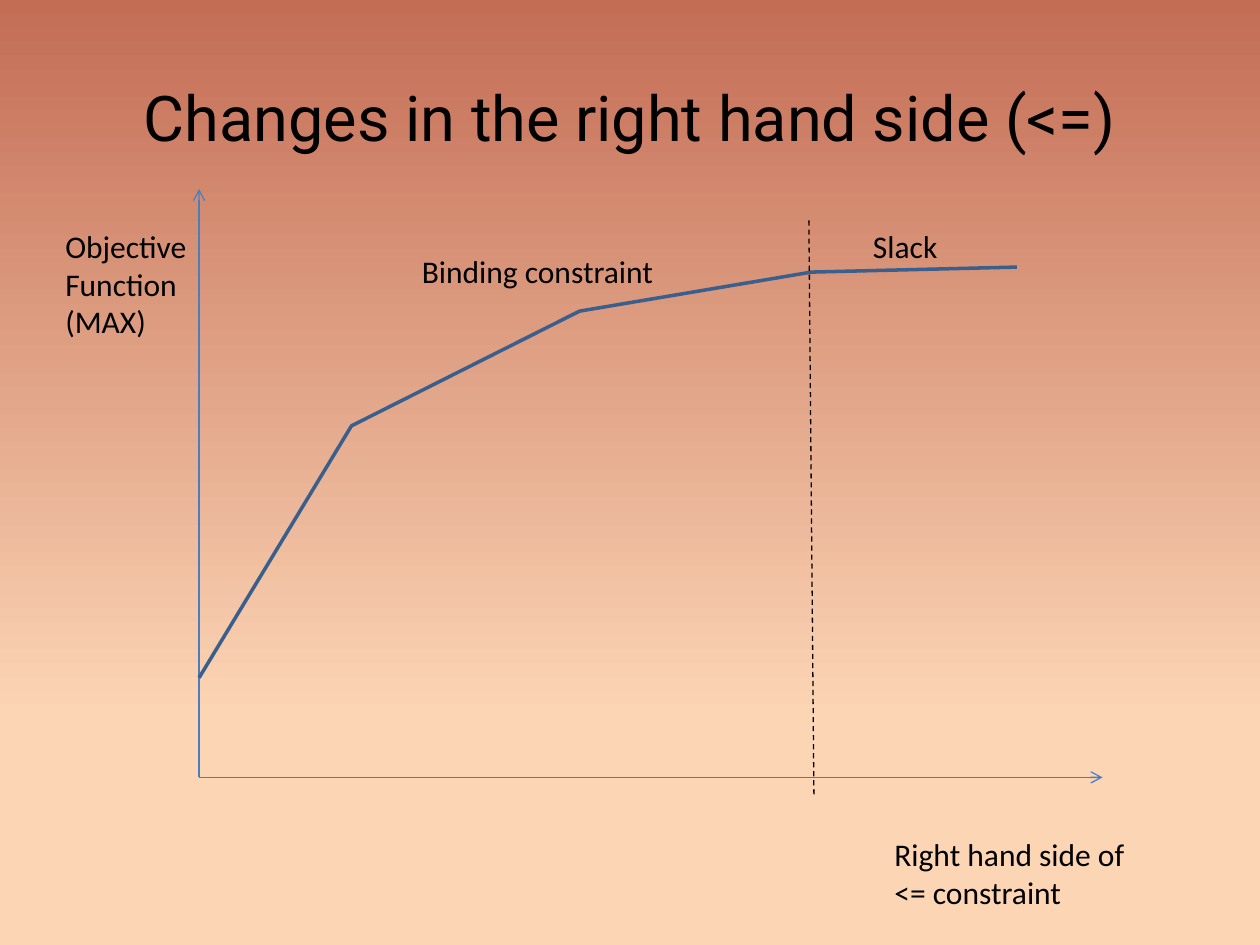
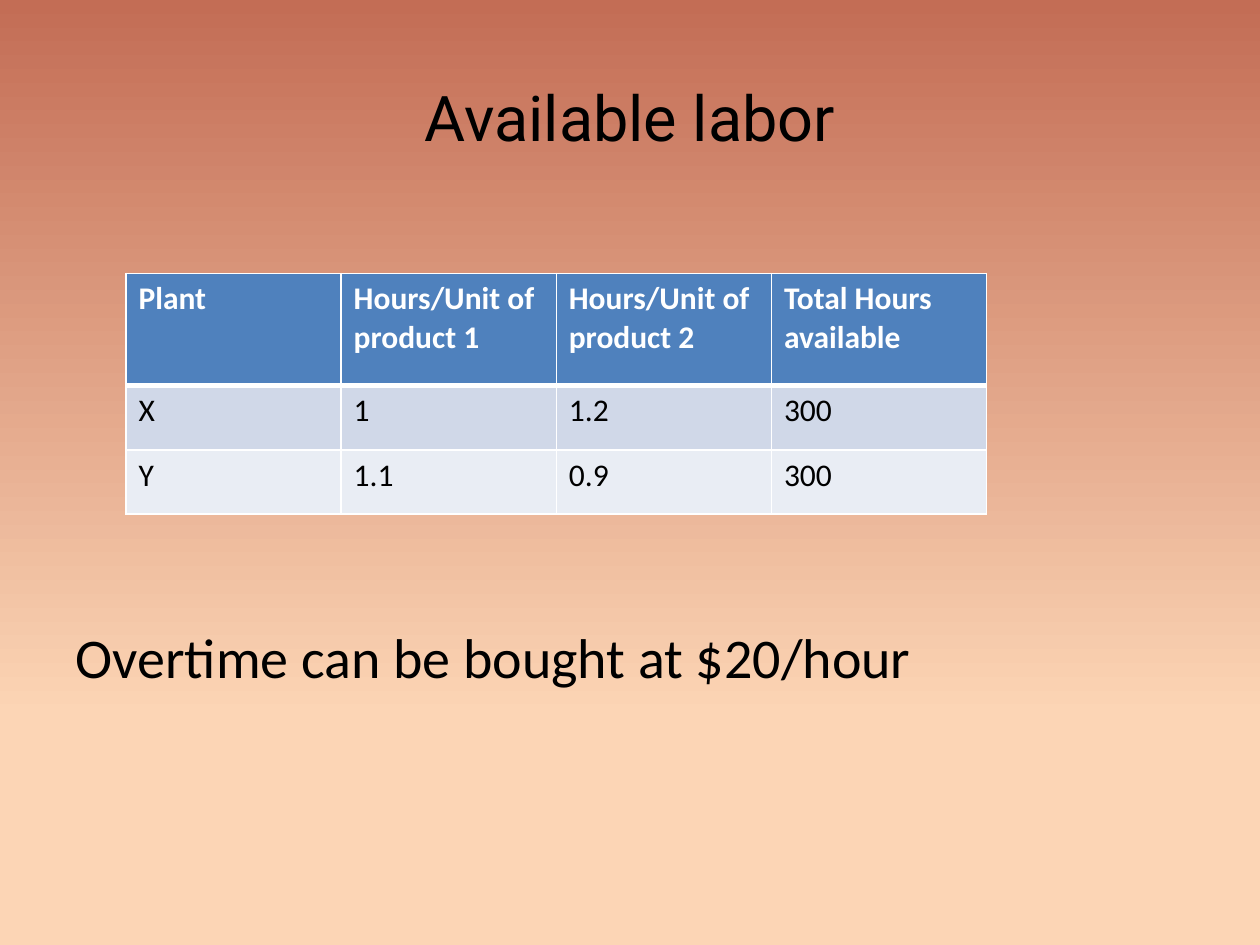
from collections import namedtuple

from lxml import etree
from pptx import Presentation
from pptx.dml.color import RGBColor
from pptx.enum.dml import MSO_LINE
from pptx.enum.shapes import MSO_CONNECTOR
from pptx.enum.text import MSO_ANCHOR, MSO_AUTO_SIZE, PP_ALIGN
from pptx.oxml.ns import qn
from pptx.util import Inches, Pt

STRAIGHT = MSO_CONNECTOR.STRAIGHT
DASH = MSO_LINE.DASH
MIDDLE = MSO_ANCHOR.MIDDLE
TOP = MSO_ANCHOR.TOP
CENTER = PP_ALIGN.CENTER
LEFT = PP_ALIGN.LEFT
FIT_SHAPE = MSO_AUTO_SIZE.SHAPE_TO_FIT_TEXT
NO_FIT = MSO_AUTO_SIZE.NONE

COLORS = {
    "sand": "FCD5B5", "clay": "C36D55", "text": "000000", "white": "FFFFFF",
    "axis": "4B7EBC", "curve": "3A5F8C", "header": "4F81BD",
    "odd row": "D0D8E8", "even row": "E9EDF4",
}
TITLE_FONT, BODY_FONT = "Roboto", "Calibri"
TITLE_ONLY, TITLE_AND_CONTENT = 5, 1

Box = namedtuple("Box", "left top width height")
TITLE_BOX = Box(0.5, 0.3, 9, 1.25)
GRAPH_BOX = Box(1.58, 1.5, 7.17, 4.67)
TABLE_BOX = Box(1, 2.17, 6.83, 1.91)
NOTE_BOX = Box(0.5, 4.89, 9, 1.81)

CURVE_POINTS = [(0, 3.88), (1.21, 1.88), (3.02, 0.97), (4.86, 0.66), (6.49, 0.62)]
GRAPH_LABELS = [
    (["Objective", "Function", "(MAX)"], Box(-1.16, 0.25, 1.17, 1.01)),
    (["Right hand side of", "<= constraint"], Box(5.42, 5.08, 2.11, 0.71)),
    (["Slack"], Box(5.25, 0.25, 0.72, 0.4)),
    (["Binding constraint"], Box(1.67, 0.45, 2.06, 0.4)),
]
LABOR_ROWS = [
    ["Plant", "Hours/Unit of product 1", "Hours/Unit of product 2", "Total Hours available"],
    ["X", "1", "1.2", "300"],
    ["Y", "1.1", "0.9", "300"],
]
ROW_HEIGHTS = [0.89, 0.51, 0.51]
ROW_FILLS = ["header", "odd row", "even row"]


def rgb(name):
    """Return the named colour."""
    return RGBColor.from_string(COLORS[name])


def lengths(*values):
    """Turn numbers of inches into lengths."""
    return [Inches(value) for value in values]


def style_text(frame, size, font=BODY_FONT, color="text", bold=False, align=LEFT):
    """Format every paragraph of a text frame."""
    for para in frame.paragraphs:
        para.alignment = align
        for span in para.runs:
            span.font.size = Pt(size)
            span.font.name = font
            span.font.bold = bold
            span.font.color.rgb = rgb(color)


def paint_background(master):
    """Give all slides the clay to sand gradient."""
    fill = master.background.fill
    fill.gradient()
    fill.gradient_angle = 90
    for stop, position, color in zip(fill.gradient_stops, (0.24, 1), ("sand", "clay")):
        stop.position = position
        stop.color.rgb = rgb(color)


def place(shape, box):
    """Move a shape into a box."""
    shape.left, shape.top, shape.width, shape.height = lengths(*box)


def add_page(deck, layout, title):
    """Add a slide with the shared title style."""
    page = deck.slides.add_slide(deck.slide_layouts[layout])
    place(page.shapes.title, TITLE_BOX)
    frame = page.shapes.title.text_frame
    frame.text = title
    frame.vertical_anchor = MIDDLE
    frame.auto_size = NO_FIT
    style_text(frame, 36, TITLE_FONT, align=CENTER)
    return page


def add_line(page, start, end, color, arrow=False, dash=None):
    """Draw a thin straight line, with an arrowhead or dashes if wanted."""
    line = page.shapes.add_connector(STRAIGHT, *lengths(*start, *end))
    line.line.color.rgb = rgb(color)
    line.line.width = Pt(0.75)
    if dash:
        line.line.dash_style = dash
    properties = line._element.spPr
    if arrow:
        etree.SubElement(properties.find(qn("a:ln")), qn("a:tailEnd"), type="arrow")
    etree.SubElement(properties, qn("a:effectLst"))


def add_label(page, lines, box):
    """Add an unwrapped label with one paragraph a line."""
    label = page.shapes.add_textbox(*lengths(*box))
    frame = label.text_frame
    frame.text = "\n".join(lines)
    frame.word_wrap = False
    frame.auto_size = FIT_SHAPE
    style_text(frame, 18)


def add_curve(page, points):
    """Draw the objective curve through the points."""
    start, *rest = [lengths(*point) for point in points]
    builder = page.shapes.build_freeform(*start)
    builder.add_line_segments(rest, close=False)
    curve = builder.convert_to_shape()
    curve.shadow.inherit = False
    curve.fill.background()
    curve.line.color.rgb = rgb("curve")
    curve.line.width = Pt(2)


def add_graph(page, box):
    """Draw the axes, curve, slack limit and labels."""
    def at(x, y):
        return box.left + x, box.top + y

    origin = at(0, box.height)
    for axis_end in (at(0, 0), at(box.width, box.height)):
        add_line(page, origin, axis_end, "axis", arrow=True)
    add_curve(page, [at(*point) for point in CURVE_POINTS])
    add_line(page, at(4.84, 0.25), at(4.88, 4.83), "text", dash=DASH)
    for lines, spot in GRAPH_LABELS:
        add_label(page, lines, Box(*at(spot.left, spot.top), spot.width, spot.height))


def add_borders(cell, bottom):
    """Draw white borders round a cell, the lower one as wide as given."""
    properties = cell._tc.get_or_add_tcPr()
    for side, width in (("L", 1), ("R", 1), ("T", 1), ("B", bottom)):
        border = etree.SubElement(properties, qn(f"a:ln{side}"), w=str(Pt(width)))
        fill = etree.SubElement(border, qn("a:solidFill"))
        etree.SubElement(fill, qn("a:srgbClr"), val=COLORS["white"])


def add_labor_table(page, box):
    """Add the table of labor hours by plant."""
    columns = len(LABOR_ROWS[0])
    table = page.shapes.add_table(len(LABOR_ROWS), columns, *lengths(*box)).table
    for column in table.columns:
        column.width = Inches(box.width / columns)
    for index, values in enumerate(LABOR_ROWS):
        header = index == 0
        table.rows[index].height = Inches(ROW_HEIGHTS[index])
        for cell, value in zip(table.rows[index].cells, values):
            add_borders(cell, 3 if header else 1)
            cell.fill.solid()
            cell.fill.fore_color.rgb = rgb(ROW_FILLS[index])
            cell.text_frame.text = value
            style_text(cell.text_frame, 18, color="white" if header else "text", bold=header)


def add_note(page, box):
    """Fill the body placeholder with the overtime note."""
    body = page.placeholders[1]
    place(body, box)
    frame = body.text_frame
    frame.text = "Overtime can be bought at $20/hour"
    frame.vertical_anchor = TOP
    frame.auto_size = NO_FIT
    para = frame.paragraphs[0]
    etree.SubElement(para._p.get_or_add_pPr(), qn("a:buNone"))
    para.space_before = Pt(0)
    style_text(frame, 32)


def main():
    """Build and save the deck."""
    deck = Presentation()
    deck.slide_width, deck.slide_height = lengths(10, 7.5)
    paint_background(deck.slide_master)
    add_graph(add_page(deck, TITLE_ONLY, "Changes in the right hand side (<=)"), GRAPH_BOX)
    labor_page = add_page(deck, TITLE_AND_CONTENT, "Available labor")
    add_note(labor_page, NOTE_BOX)
    add_labor_table(labor_page, TABLE_BOX)
    deck.save("out.pptx")


if __name__ == "__main__":
    main()
